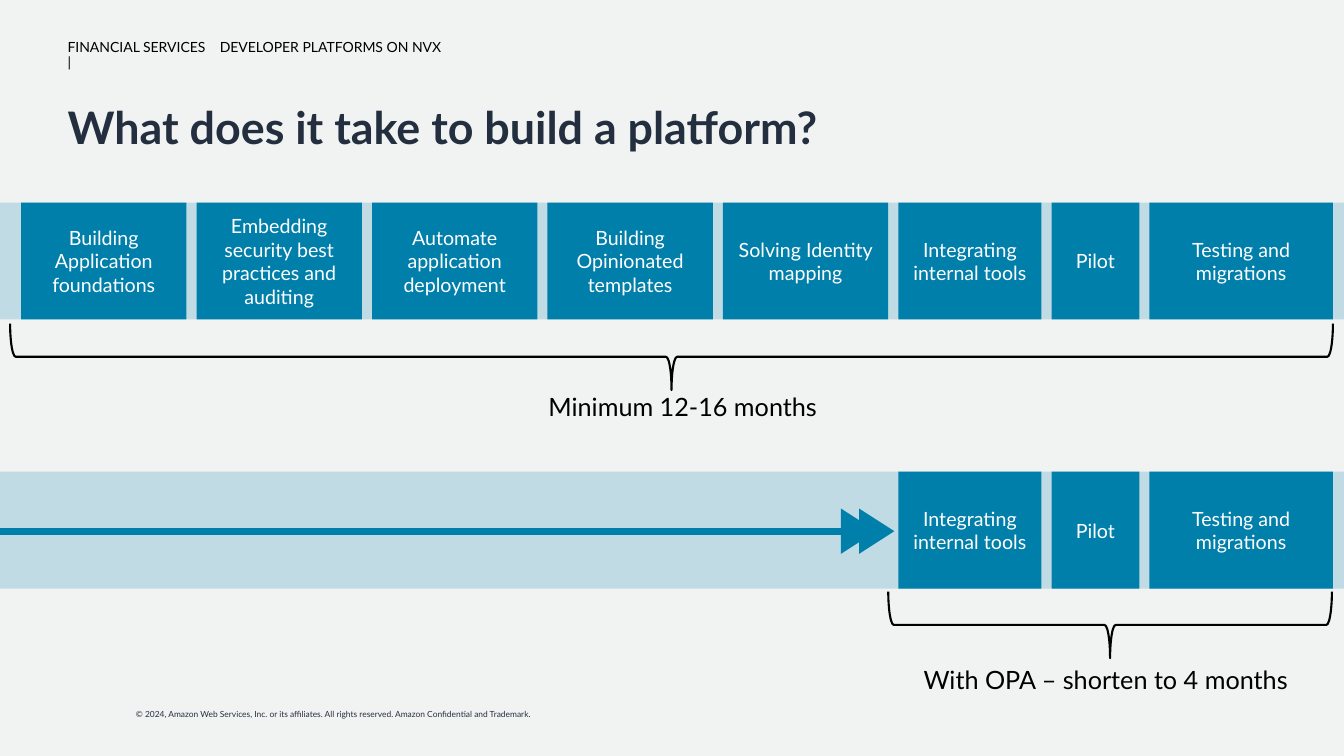
from lxml import etree
from pptx import Presentation
from pptx import util as u
from pptx.dml.color import RGBColor
from pptx.enum import shapes, text
from pptx.oxml.ns import qn

WIDTH, HEIGHT = 13.33, 7.5
FONT = "Lato"
BLUE, NAVY, BLACK, WHITE, PAPER = "007FAA", "232F3E", "000000", "FFFFFF", "F1F3F3"
BAND_HEIGHT, GAP = 1.16, 0.1
STEPS = [
    ("Building Application foundations", 1.64),
    ("Embedding security best practices and auditing", 1.64),
    ("Automate application deployment", 1.64),
    ("Building Opinionated templates", 1.64),
    ("Solving Identity mapping", 1.64),
    ("Integrating internal tools", 1.42),
    ("Pilot", 0.87),
    ("Testing and migrations", 1.82),
]


def paint(color_format, value):
    color_format.rgb = RGBColor.from_string(value)


def write(frame, words, size, color, insets, bold=False, spacing=None):
    """Fill a text frame with one paragraph; insets are left, top, right, bottom."""
    (frame.margin_left, frame.margin_top,
     frame.margin_right, frame.margin_bottom) = map(u.Inches, insets)
    frame.text = words
    para = frame.paragraphs[0]
    para.line_spacing = spacing
    para.font.size, para.font.name, para.font.bold = u.Pt(size), FONT, bold
    paint(para.font.color, color)
    return para


def add_label(page, left, top, width, height, words, size, color=BLACK,
              insets=(0, 0.05, 0, 0.05), wrap=True, spacing=None):
    box = page.shapes.add_textbox(*map(u.Inches, (left, top, width, height)))
    box.text_frame.word_wrap = wrap
    write(box.text_frame, words, size, color, insets, spacing=spacing)


def add_block(page, kind, left, top, width, height, fill=None):
    block = page.shapes.add_shape(kind, *map(u.Inches, (left, top, width, height)))
    block.shadow.inherit = False
    if fill:
        block.fill.solid()
        paint(block.fill.fore_color, fill)
        block.line.fill.background()
    else:
        block.fill.background()
    return block


def add_turned(page, kind, left, top, width, height, fill=None):
    """Place a shape turned by 90 degrees so that it covers the given box."""
    shift = (width - height) / 2
    block = add_block(page, kind, left + shift, top - shift, height, width, fill)
    block.rotation = 90
    return block


def add_header(page):
    add_label(page, 0.67, 0.35, 1.45, 0.26, "FINANCIAL SERVICES\v|", 10, spacing=0.9)
    add_label(page, 2.18, 0.35, 6, 0.26, "DEVELOPER PLATFORMS ON NVX", 10, spacing=0.9)
    title = page.shapes.title
    title.left, title.top, title.width, title.height = map(u.Inches, (0.67, 1, 12, 0.59))
    title.text_frame.vertical_anchor = text.MSO_ANCHOR.TOP
    para = write(title.text_frame, "What does it take to build a platform?", 32, NAVY,
                 (0, 0.05, 0, 0.05), bold=True, spacing=0.9)
    para.alignment = text.PP_ALIGN.LEFT


def add_band(page, top):
    band = add_block(page, shapes.MSO_SHAPE.RECTANGLE, 0, top, WIDTH, BAND_HEIGHT, BLUE)
    color = band.fill._xPr.find(qn("a:solidFill"))[0]
    etree.SubElement(color, qn("a:alpha"), val="20000")


def add_steps(page, left, top, steps):
    for words, width in steps:
        step = add_block(page, shapes.MSO_SHAPE.RECTANGLE, left, top, width, BAND_HEIGHT, BLUE)
        step.text_frame.word_wrap = True
        step.text_frame.vertical_anchor = text.MSO_ANCHOR.MIDDLE
        para = write(step.text_frame, words, 14, WHITE, (0.05,) * 4)
        para.alignment = text.PP_ALIGN.CENTER
        left += width + GAP


def add_brace(page, left, top, width):
    brace = add_turned(page, shapes.MSO_SHAPE.RIGHT_BRACE, left, top, width, 0.66)
    paint(brace.line.color, BLACK)
    brace.line.width = u.Pt(1.5)


def add_fast_track(page, right, middle):
    """Arrow from the slide's edge, ending in two triangles."""
    arrow = page.shapes.add_connector(
        shapes.MSO_CONNECTOR.STRAIGHT,
        *map(u.Inches, (0, middle, right - 0.08, middle)))
    paint(arrow.line.color, BLUE)
    arrow.line.width = u.Pt(4.75)
    etree.SubElement(arrow.line._get_or_add_ln(), qn("a:tailEnd"), type="triangle")
    etree.SubElement(arrow._element.spPr, qn("a:effectLst"))
    for offset in (0, 0.18):
        add_turned(page, shapes.MSO_SHAPE.FLOWCHART_EXTRACT,
                   right - 0.35 - offset, middle - 0.225, 0.35, 0.45, BLUE)


def add_full_path(page, top):
    add_band(page, top)
    add_steps(page, 0.21, top, STEPS)
    add_brace(page, 0.1, top + 1.2, 13.12)
    add_label(page, 5.44, top + 1.82, 2.93, 0.4, "Minimum 12-16 months", 18)


def add_short_path(page, top):
    add_band(page, top)
    add_steps(page, 8.91, top, STEPS[5:])
    add_brace(page, 8.81, top + 1.19, 4.4)
    add_label(page, 9.16, top + 1.86, 4.1, 0.4, "With OPA – shorten to 4 months", 18)
    add_fast_track(page, 8.87, top + 0.59)


def main():
    deck = Presentation()
    deck.slide_width, deck.slide_height = u.Inches(WIDTH), u.Inches(HEIGHT)
    page = deck.slides.add_slide(deck.slide_layouts[5])
    page.background.fill.solid()
    paint(page.background.fill.fore_color, PAPER)
    add_header(page)
    add_full_path(page, 2.01)
    add_short_path(page, 4.68)
    add_label(page, 1.25, 6.99, 4.31, 0.2,
              "© 2024, Amazon Web Services, Inc. or its affiliates. All rights reserved. "
              "Amazon Confidential and Trademark.",
              6, NAVY, insets=(0.1, 0.05, 0.1, 0.05), wrap=False)
    deck.save("out.pptx")


if __name__ == "__main__":
    main()
